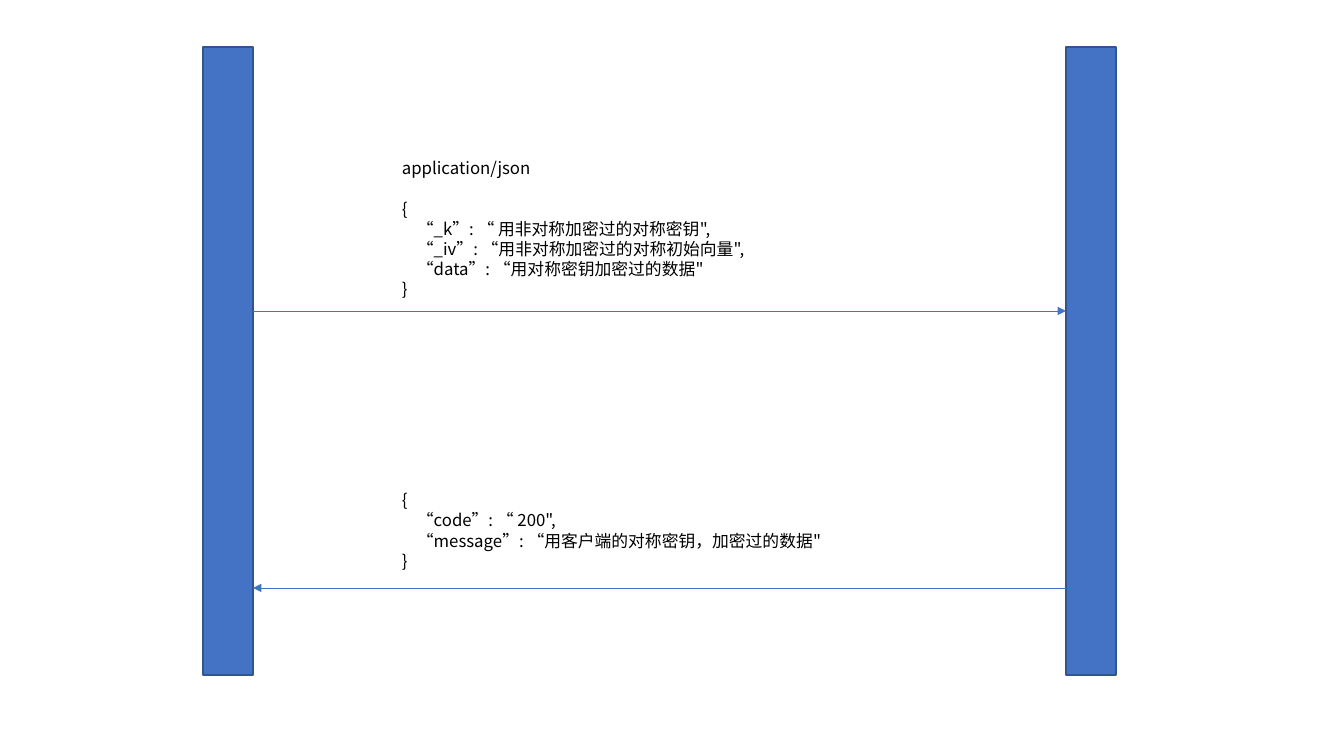
"""Sequence slide: encrypted JSON request and response between two parties."""
from lxml import etree
from pptx import Presentation
from pptx.dml.color import RGBColor
from pptx.enum.shapes import MSO_CONNECTOR as Connector, MSO_SHAPE as Shape
from pptx.enum.text import MSO_AUTO_SIZE as AutoSize
from pptx.oxml.ns import qn
from pptx.util import Pt

SCALE = 9071
FONT = "Noto Sans CJK SC"
COLORS = {"blue": "4472C4", "edge": "325491", "text": "000000"}
LINE_PITCH = 14.4
INDENT = 15


def px(value):
    return int(value * SCALE)


def color(name):
    return RGBColor.from_string(COLORS[name])


deck = Presentation()
deck.slide_width, deck.slide_height = px(1344), px(756)
page = deck.slides.add_slide(deck.slide_layouts[6])

for left in (203, 1066):
    bar = page.shapes.add_shape(Shape.RECTANGLE, px(left), px(47), px(50), px(628))
    bar.shadow.inherit = False
    bar.fill.solid()
    bar.fill.fore_color.rgb = color("blue")
    bar.line.color.rgb = color("edge")
    bar.line.width = Pt(1)

request = [
    "application/json",
    "{",
    "“_k”: “ 用非对称加密过的对称密钥\",",
    "“_iv”: “用非对称加密过的对称初始向量\",",
    "“data”: “用对称密钥加密过的数据\"",
    "}",
]
response = [
    "{",
    "“code”: “ 200\",",
    "“message”: “用客户端的对称密钥，加密过的数据\"",
    "}",
]
messages = [
    (253, 1066, 311, 153, 152, request),
    (1066, 253, 588, 485, 92, response),
]

for start, end, arrow_y, top, height, lines in messages:
    arrow = page.shapes.add_connector(
        Connector.STRAIGHT, px(start), px(arrow_y), px(end), px(arrow_y))
    arrow.line.color.rgb = color("blue")
    arrow.line.width = Pt(0.5)
    etree.SubElement(arrow.line._get_or_add_ln(), qn("a:tailEnd"), type="triangle")
    etree.SubElement(arrow._element.spPr, qn("a:effectLst"))

    box = page.shapes.add_textbox(px(392), px(top), px(484), px(height))
    frame = box.text_frame
    frame.word_wrap = True
    frame.auto_size = AutoSize.SHAPE_TO_FIT_TEXT
    frame.text = "\n".join(lines)
    for para in frame.paragraphs:
        para.line_spacing = Pt(LINE_PITCH)
        if para.text.startswith("“"):
            para._p.get_or_add_pPr().set("marL", str(px(INDENT)))
        if para.text == "application/json":
            para.space_after = Pt(LINE_PITCH)
        for span in para.runs:
            span.font.size = Pt(12)
            span.font.name = FONT
            span.font.color.rgb = color("text")
            etree.SubElement(span.font._element, qn("a:ea"), typeface=FONT)

deck.save("out.pptx")
